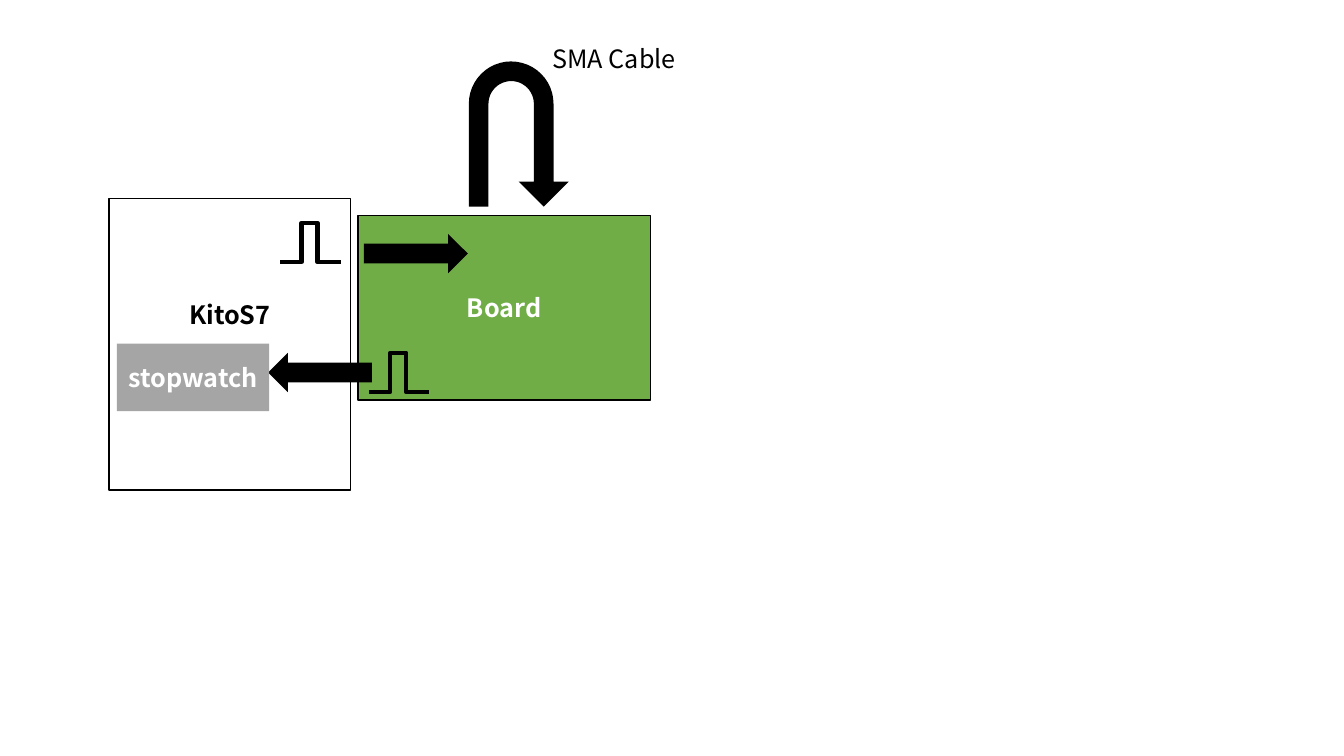
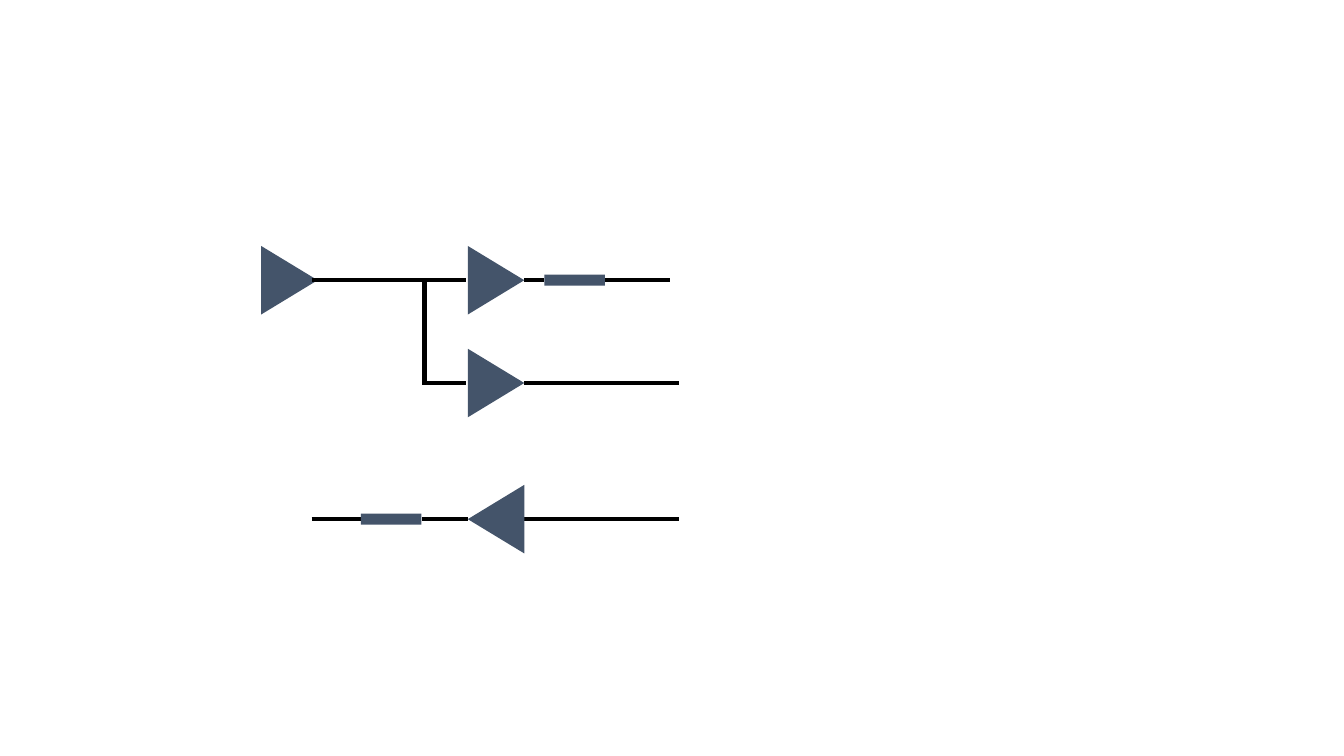
from lxml.etree import SubElement
from pptx import Presentation
from pptx.dml.color import RGBColor
from pptx.enum.shapes import MSO_CONNECTOR, MSO_SHAPE
from pptx.enum.text import MSO_ANCHOR, PP_ALIGN
from pptx.oxml.ns import qn
from pptx.util import Inches, Pt

FONT = "Noto Sans CJK KR"
BLACK, WHITE = "000000", "FFFFFF"
GREEN, GRAY, SLATE = "70AD47", "A5A5A5", "44546A"


def color(hex_code):
    """Turn a hex string into a colour."""
    return RGBColor.from_string(hex_code)


def new_slide(deck):
    """Add a slide on the blank layout."""
    return deck.slides.add_slide(deck.slide_layouts[6])


def write(frame, text, size=18, ink=BLACK, bold=False, align=PP_ALIGN.LEFT,
          anchor=MSO_ANCHOR.TOP, bottom=0.05):
    """Put one formatted paragraph into a text frame."""
    frame.word_wrap = True
    frame.vertical_anchor = anchor
    frame.margin_bottom = Inches(bottom)
    paragraph = frame.paragraphs[0]
    paragraph.text = text
    paragraph.alignment = align
    font = paragraph.font
    font.name, font.size, font.bold = FONT, Pt(size), bold
    font.color.rgb = color(ink)


def stroke(line, width, ink=BLACK):
    """Give an outline its width and colour."""
    line.width = Pt(width)
    line.color.rgb = color(ink)


def solid(slide, kind, left, top, width, height, fill=BLACK, outlined=False):
    """Add a flat preset shape, with a thin outline on request."""
    shape = slide.shapes.add_shape(
        kind, Inches(left), Inches(top), Inches(width), Inches(height))
    shape.shadow.inherit = False
    shape.fill.solid()
    shape.fill.fore_color.rgb = color(fill)
    if outlined:
        stroke(shape.line, 1)
    else:
        shape.line.fill.background()
    return shape


def block(slide, text, left, top, width, height, fill, ink=WHITE,
          outlined=True, bottom=0.05):
    """Add a rectangle with a bold centred label."""
    box = solid(slide, MSO_SHAPE.RECTANGLE, left, top, width, height, fill, outlined)
    write(box.text_frame, text, ink=ink, bold=True, align=PP_ALIGN.CENTER,
          anchor=MSO_ANCHOR.MIDDLE, bottom=bottom)


def pulse(slide, left, top):
    """Draw a single square pulse."""
    base = top + 0.39
    steps = [(0.21, base), (0.21, top), (0.37, top), (0.37, base), (0.6, base)]
    builder = slide.shapes.build_freeform(Inches(left), Inches(base))
    builder.add_line_segments(
        [(Inches(left + dx), Inches(y)) for dx, y in steps], close=False)
    trace = builder.convert_to_shape()
    trace.shadow.inherit = False
    trace.fill.background()
    stroke(trace.line, 3)


def wire(slide, x1, y1, x2, y2):
    """Draw a straight thick wire."""
    link = slide.shapes.add_connector(
        MSO_CONNECTOR.STRAIGHT, Inches(x1), Inches(y1), Inches(x2), Inches(y2))
    stroke(link.line, 3)
    SubElement(link._element.spPr, qn("a:effectLst"))


def buffer(slide, center_x, center_y, rotation=90):
    """Draw a buffer triangle around its centre."""
    width, height = 0.68, 0.56
    triangle = solid(slide, MSO_SHAPE.ISOSCELES_TRIANGLE, center_x - width / 2,
                     center_y - height / 2, width, height, SLATE)
    triangle.rotation = rotation


def resistor(slide, center_x, center_y):
    """Draw a resistor bar around its centre."""
    width, height = 0.6, 0.11
    solid(slide, MSO_SHAPE.RECTANGLE, center_x - width / 2,
          center_y - height / 2, width, height, SLATE)


def loopback_slide(deck):
    """Show the cable loopback between the two boards."""
    slide = new_slide(deck)
    block(slide, "KitoS7", 1.08, 1.97, 2.4, 2.89, WHITE, ink=BLACK, bottom=0.65)
    block(slide, "Board", 3.55, 2.14, 2.9, 1.83, GREEN)
    cable = solid(slide, MSO_SHAPE.U_TURN_ARROW, 4.65, 0.61, 0.99, 1.44)
    for index, value in enumerate((0.197, 0.25, 0.25, 0.438, 1)):
        cable.adjustments[index] = value
    pulse(slide, 2.78, 2.21)
    pulse(slide, 3.66, 3.5)
    solid(slide, MSO_SHAPE.RIGHT_ARROW, 3.61, 2.32, 1.03, 0.39)
    solid(slide, MSO_SHAPE.LEFT_ARROW, 2.66, 3.5, 1.03, 0.39)
    block(slide, "stopwatch", 1.16, 3.41, 1.51, 0.67, GRAY, outlined=False)
    cable_label = slide.shapes.add_textbox(
        Inches(5.38), Inches(0.38), Inches(1.5), Inches(0.4))
    write(cable_label.text_frame, "SMA Cable")


def circuit_slide(deck):
    """Show the buffered signal paths."""
    slide = new_slide(deck)
    upper, lower, back = 2.78, 3.8, 5.15
    source_x, stage_x, branch_x = 2.87, 4.92, 4.21
    buffer(slide, source_x, upper)
    for x1, y1, x2, y2 in (
            (3.09, upper, 4.62, upper), (4.19, lower, 4.62, lower),
            (branch_x, upper, branch_x, lower), (5.2, upper, 5.4, upper),
            (6, upper, 6.65, upper), (5.2, lower, 6.73, lower),
            (5.2, back, 6.73, back), (4.19, back, 4.64, back),
            (3.09, back, 3.58, back)):
        wire(slide, x1, y1, x2, y2)
    for y, rotation in ((upper, 90), (lower, 90), (back, 270)):
        buffer(slide, stage_x, y, rotation)
    resistor(slide, 5.7, upper)
    resistor(slide, 3.88, back)


def main():
    """Build and save the deck."""
    deck = Presentation()
    deck.slide_width, deck.slide_height = Inches(13.33), Inches(7.5)
    loopback_slide(deck)
    circuit_slide(deck)
    deck.save("out.pptx")


if __name__ == "__main__":
    main()
